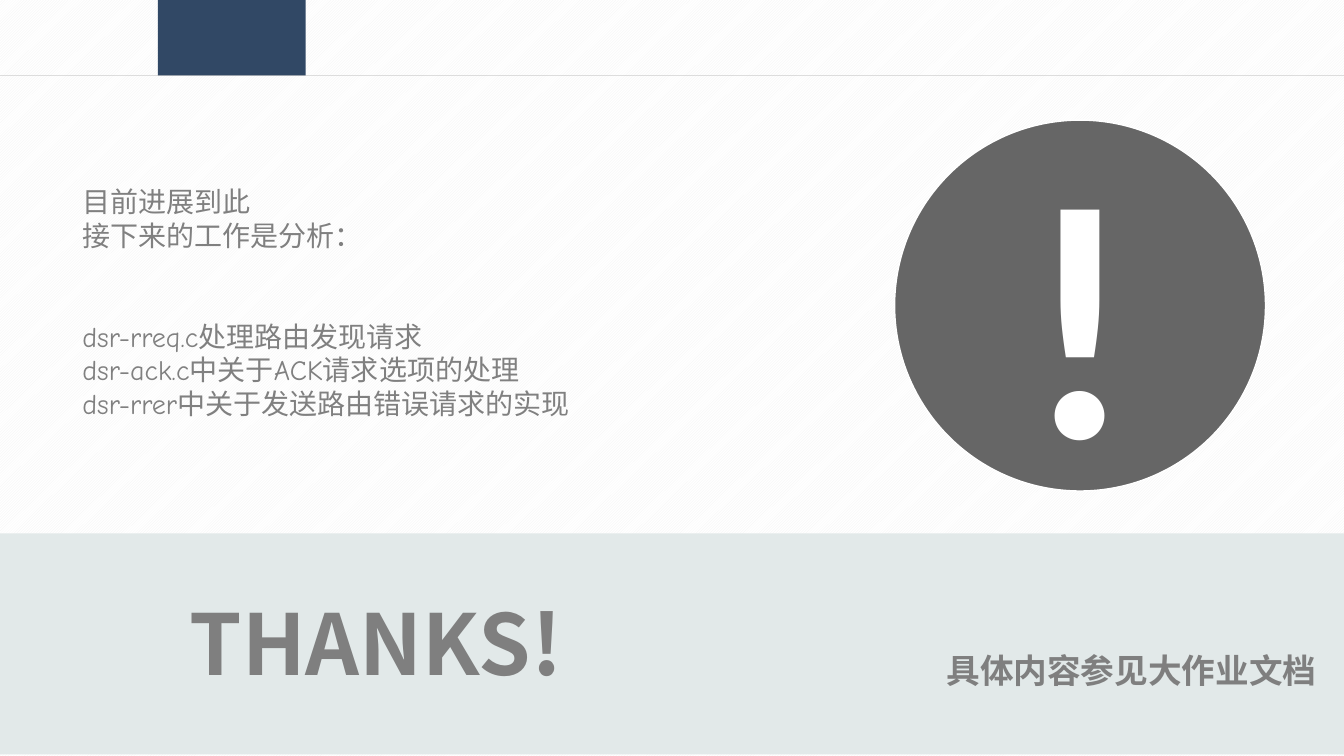
"""Build the closing slide: next steps, an exclamation mark and a thanks band."""
from lxml.etree import SubElement
from pptx import Presentation
from pptx.dml.color import RGBColor
from pptx.enum.dml import MSO_PATTERN
from pptx.enum.shapes import MSO_CONNECTOR, MSO_SHAPE
from pptx.enum.text import MSO_ANCHOR as ANCHOR, MSO_AUTO_SIZE as AUTO, PP_ALIGN as ALIGN
from pptx.oxml.ns import qn
from pptx.util import Inches, Pt

COLORS = {"band": "E2E9E9", "tab": "314865", "disc": "666666", "rule": "BFBFBF",
          "heading": "7F7F7F", "body": "808080", "stripe": "F2F2F2", "white": "FFFFFF"}
CJK, LATIN, MARK = "Noto Sans CJK SC", "Comic Neue", "Calibri"
COLS, ROWS = 160, 90


def rgb(name):
    return RGBColor.from_string(COLORS[name])


class Deck:
    def __init__(self):
        self.prs = Presentation()
        self.prs.slide_width, self.prs.slide_height = Inches(13.33), Inches(7.5)
        self.s = self.prs.slides.add_slide(self.prs.slide_layouts[1])
        fill = self.s.background.fill
        fill.patterned()
        fill.pattern = MSO_PATTERN.DARK_UPWARD_DIAGONAL
        fill.fore_color.rgb, fill.back_color.rgb = rgb("stripe"), rgb("white")

    def grid(self, x, y, w, h):
        col, row = self.prs.slide_width / COLS, self.prs.slide_height / ROWS
        return [round(v) for v in (x * col, y * row, w * col, h * row)]

    def shape(self, kind, box, fill, line=None):
        sp = self.s.shapes.add_shape(kind, *self.grid(*box))
        sp.shadow.inherit = False
        sp.fill.solid()
        sp.fill.fore_color.rgb = rgb(fill)
        if line:
            sp.line.color.rgb = rgb(line)
            sp.line.width = Pt(1)
        else:
            sp.line.fill.background()

    def rule(self, y):
        x1, y1, w, _ = self.grid(0, y, COLS, 0)
        cx = self.s.shapes.add_connector(MSO_CONNECTOR.STRAIGHT, x1, y1, x1 + w, y1)
        cx.line.color.rgb = rgb("rule")
        cx.line.width = Pt(0.5)
        color = cx.line._get_or_add_ln().find(".//" + qn("a:srgbClr"))
        SubElement(color, qn("a:alpha"), val="50000")
        SubElement(cx.element.spPr, qn("a:effectLst"))

    def text(self, box, groups, size, font, color, bold=False, spacing=1.0,
             align=ALIGN.LEFT, anchor=ANCHOR.TOP, wrap=True, holder=None):
        sp = holder or self.s.shapes.add_textbox(0, 0, 0, 0)
        sp.left, sp.top, sp.width, sp.height = self.grid(*box)
        self.s.shapes.element.append(sp.element)
        tf = sp.text_frame
        tf.auto_size, tf.word_wrap, tf.vertical_anchor = AUTO.NONE, wrap, anchor
        p = None
        for g, group in enumerate(groups):
            for i, line in enumerate(group):
                p = tf.add_paragraph() if p else tf.paragraphs[0]
                pPr = p._p.get_or_add_pPr()
                pPr.set("marL", "0")
                pPr.set("indent", "0")
                SubElement(pPr, qn("a:buNone"))
                p.alignment, p.line_spacing = align, spacing
                p.space_before = Pt(48 if g and not i else 0)
                r = p.add_run()
                r.text = line
                r.font.size, r.font.bold, r.font.name = Pt(size), bold, font
                r.font.color.rgb = rgb(color)
                SubElement(r.font._element, qn("a:ea"), typeface=CJK)


def main():
    d = Deck()
    title, body = d.s.placeholders
    d.shape(MSO_SHAPE.RECTANGLE, (0, 63.5, COLS, 26.3), "band")
    d.text((21.4, 63.8, 80, 17.3), [["THANKS!"]], 60, CJK, "heading",
           bold=True, spacing=1.5, holder=title)
    d.text((111.5, 74.4, 46.4, 8.5), [["具体内容参见大作业文档"]], 24, CJK, "heading",
           bold=True, spacing=1.5, wrap=False)
    d.shape(MSO_SHAPE.RECTANGLE, (18.8, 0, 17.6, 9), "tab")
    d.rule(9)
    d.shape(MSO_SHAPE.OVAL, (106.5, 14.3, 44.15, 44.15), "disc", "white")
    d.text((119.2, 11.6, 18.7, 49.4), [["!"]], 239, MARK, "white", bold=True,
           align=ALIGN.CENTER, anchor=ANCHOR.MIDDLE)
    d.text((8.6, 21.4, 91, 29.5),
           [["目前进展到此", "接下来的工作是分析："],
            ["dsr-rreq.c处理路由发现请求", "dsr-ack.c中关于ACK请求选项的处理",
             "dsr-rrer中关于发送路由错误请求的实现"]],
           20, LATIN, "body", holder=body)
    d.prs.save("out.pptx")


if __name__ == "__main__":
    main()
